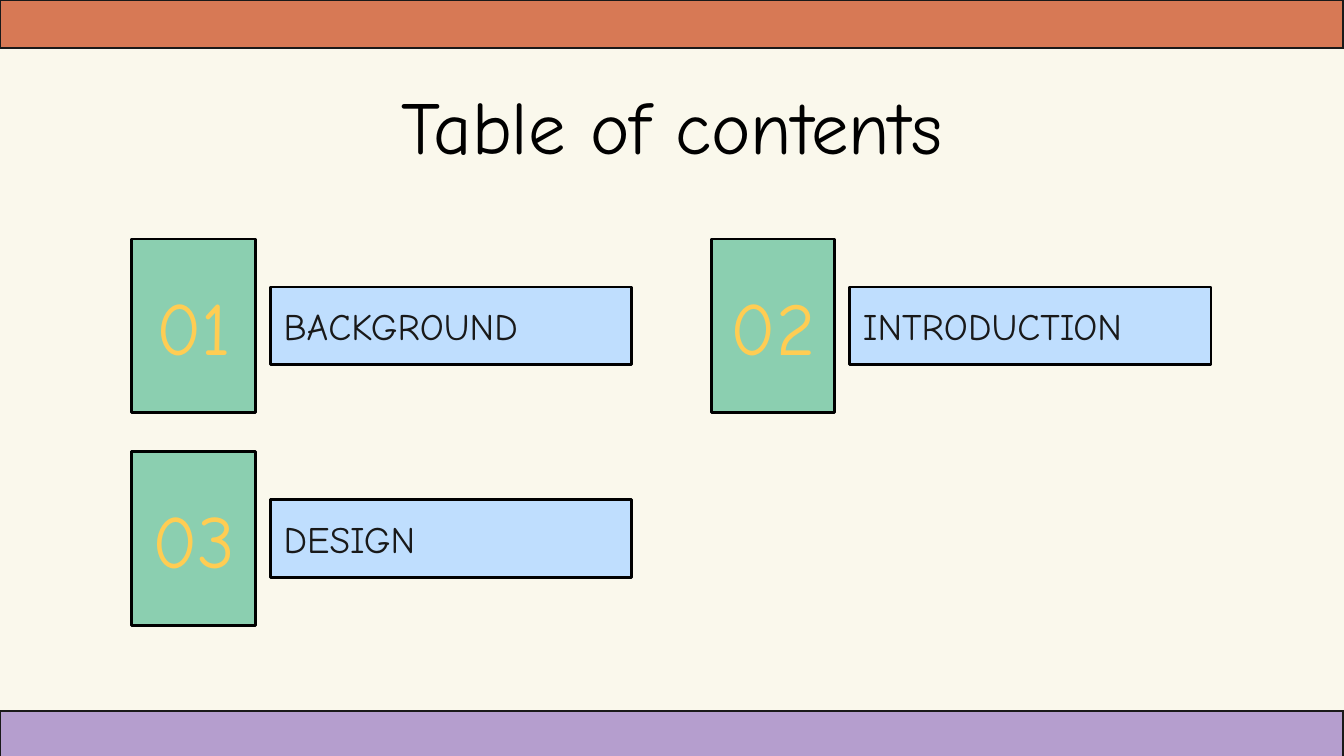
from pptx import Presentation
from pptx.dml.color import RGBColor
from pptx.enum import shapes, text
from pptx.util import Cm, Pt

TITLE = "Table of contents"
ITEMS = ["BACKGROUND", "INTRODUCTION", "DESIGN"]
FONT = "Comic Neue"

CREAM = RGBColor(0xFA, 0xF8, 0xEC)
ORANGE = RGBColor(0xD7, 0x79, 0x55)
PURPLE = RGBColor(0xB5, 0x9E, 0xCE)
GREEN = RGBColor(0x8B, 0xCF, 0xB0)
BLUE = RGBColor(0xBF, 0xDE, 0xFE)
YELLOW = RGBColor(0xFF, 0xCD, 0x53)
DARK = RGBColor(0x19, 0x19, 0x19)
BLACK = RGBColor(0, 0, 0)

WIDE, HIGH = 25.4, 14.29
BAR = 0.91
LEFT, TOP = 2.49, 4.52
STEP_X, STEP_Y = 10.95, 4.02
CARD_W, CARD_H = 2.34, 3.28
LABEL_W, LABEL_H = 6.83, 1.47
LABEL_X = 2.62
LABEL_Y = (CARD_H - LABEL_H) / 2
CENTER, START = text.PP_ALIGN.CENTER, text.PP_ALIGN.LEFT

deck = Presentation()
deck.slide_width, deck.slide_height = Cm(WIDE), Cm(HIGH)
slide = deck.slides.add_slide(deck.slide_layouts[6])
slide.background.fill.solid()
slide.background.fill.fore_color.rgb = CREAM


def box(x, y, w, h, fill, line):
    shape = slide.shapes.add_shape(
        shapes.MSO_SHAPE.RECTANGLE, Cm(x), Cm(y), Cm(w), Cm(h))
    shape.shadow.inherit = False
    shape.fill.solid()
    shape.fill.fore_color.rgb = fill
    shape.line.color.rgb = line
    shape.line.width = Pt(1.5)
    return shape


def write(shape, words, size, color, align):
    frame = shape.text_frame
    look = {"word_wrap": True, "vertical_anchor": text.MSO_ANCHOR.MIDDLE}
    for side in ("left", "right", "top", "bottom"):
        look["margin_" + side] = Cm(0.25)
    for key, value in look.items():
        setattr(frame, key, value)
    para = frame.paragraphs[0]
    para.alignment = align
    run = para.add_run()
    run.text = words
    for key, value in {"name": FONT, "size": Pt(size)}.items():
        setattr(run.font, key, value)
    run.font.color.rgb = color


for y, fill in ((0, ORANGE), (13.44, PURPLE)):
    box(0, y, WIDE, BAR, fill, DARK)

for i, item in enumerate(ITEMS):
    row, col = divmod(i, 2)
    x, y = LEFT + col * STEP_X, TOP + row * STEP_Y
    card = box(x, y, CARD_W, CARD_H, GREEN, BLACK)
    write(card, f"{i + 1:02}", 40, YELLOW, CENTER)
    label = box(x + LABEL_X, y + LABEL_Y, LABEL_W, LABEL_H, BLUE, BLACK)
    write(label, item, 20, DARK, START)

head = slide.shapes.add_textbox(Cm(2), Cm(1.55), Cm(21.4), Cm(1.6))
write(head, TITLE, 40, BLACK, CENTER)

deck.save("out.pptx")
